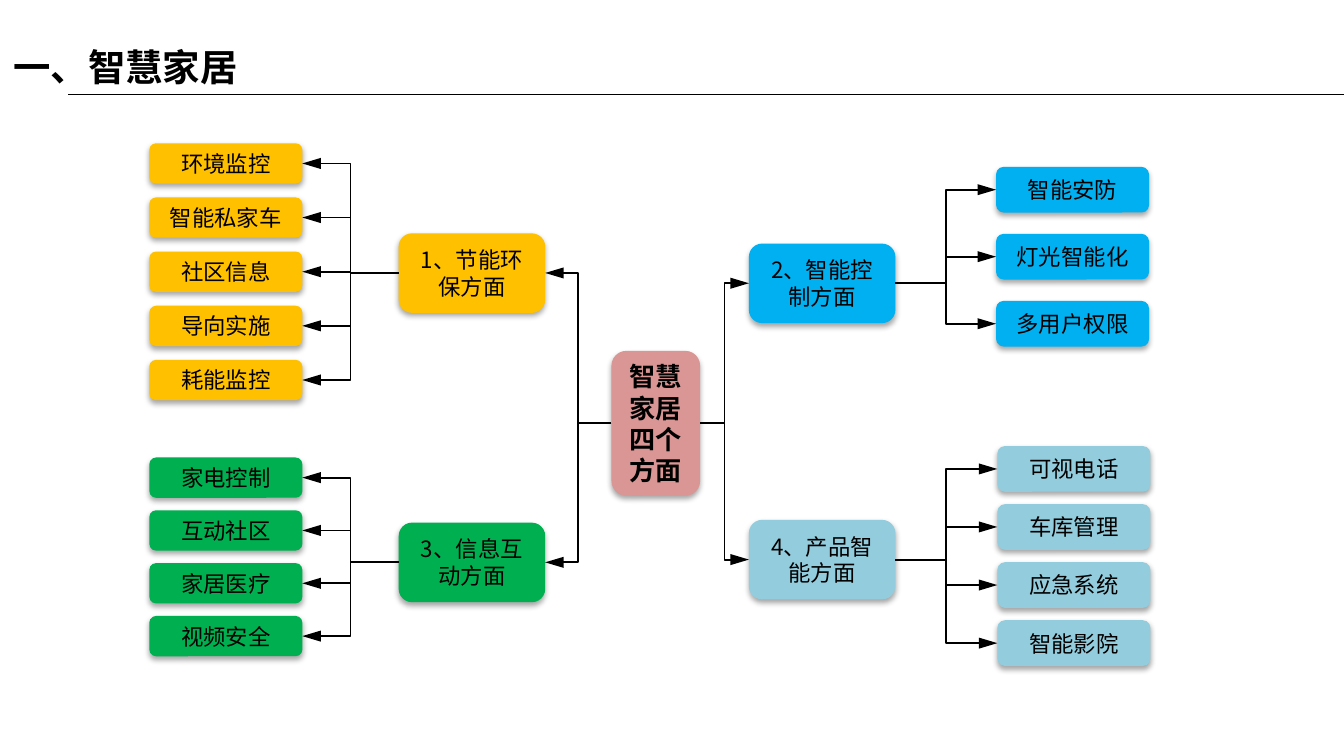
import pptx
import pptx.dml.color
import pptx.enum.shapes
import pptx.enum.text
import pptx.oxml
import pptx.oxml.ns
import pptx.util

Pt = pptx.util.Pt

TITLE = "一、智慧家居"
CENTER = {"lines": ["智慧家居", "四个方面"], "box": (327.6, 188, 47.5, 77.6)}
BRANCHES = [
    {"text": "2、智能控制方面", "side": "right", "color": "blue", "top": 130.5,
     "leaves": ["智能安防", "灯光智能化", "多用户权限"],
     "leaf_left": 533.6, "leaf_top": 89.4, "leaf_height": 24.5, "pitch": 35.9},
    {"text": "4、产品智能方面", "side": "right", "color": "aqua", "top": 278.5,
     "leaves": ["可视电话", "车库管理", "应急系统", "智能影院"],
     "leaf_left": 534.3, "leaf_top": 239, "leaf_height": 24.5, "pitch": 31.1},
    {"text": "1、节能环保方面", "side": "left", "color": "amber", "top": 125,
     "leaves": ["环境监控", "智能私家车", "社区信息", "导向实施", "耗能监控"],
     "leaf_left": 80, "leaf_top": 76.8, "leaf_height": 21.6, "pitch": 29},
    {"text": "3、信息互动方面", "side": "left", "color": "green", "top": 280,
     "leaves": ["家电控制", "互动社区", "家居医疗", "视频安全"],
     "leaf_left": 80, "leaf_top": 245.1, "leaf_height": 21.6, "pitch": 28.3},
]
BRANCH_LEFT = {"left": 213.6, "right": 401.2}
BRANCH_SIZE = (78.5, 42.6)
LEAF_WIDTH = 82
SITES = {"left": (1, 3), "right": (3, 1)}

THEME = {
    "font": "Noto Sans CJK SC",
    "black": "000000", "blue": "00B0F0", "aqua": "93CDDD",
    "amber": "FFC000", "green": "00B050", "rose": "D99694",
    "title_size": 20, "center_size": 14, "label_size": 12,
    "rule_width": 0.75, "connector_width": 1,
    "shadow_blur": 3.1, "shadow_distance": 1.8, "shadow_alpha": 35,
}


def rgb(name):
    return pptx.dml.color.RGBColor.from_string(THEME[name])


def add_element(parent, xml):
    tag, rest = xml.split(" ", 1) if " " in xml else (xml, "/>")
    namespace = pptx.oxml.ns.nsdecls("a")
    element = pptx.oxml.parse_xml(f"<a:{tag} {namespace} {rest}")
    parent.append(element)
    return element


def write_text(frame, lines, size, bold=False, align="CENTER", margin=7.2, spacing=None):
    frame.word_wrap = True
    frame.auto_size = pptx.enum.text.MSO_AUTO_SIZE.NONE
    frame.vertical_anchor = pptx.enum.text.MSO_ANCHOR.MIDDLE
    frame.margin_left = frame.margin_right = Pt(margin)
    frame.margin_top = frame.margin_bottom = Pt(3.6)
    for index, line in enumerate(lines):
        paragraph = frame.paragraphs[0] if index == 0 else frame.add_paragraph()
        paragraph.alignment = getattr(pptx.enum.text.PP_ALIGN, align)
        paragraph.line_spacing = spacing
        run = paragraph.add_run()
        run.text = line
        run.font.size = Pt(THEME[size])
        run.font.bold = bold
        run.font.color.rgb = rgb("black")
        run.font.name = THEME["font"]
        add_element(run.font._element, f'ea typeface="{THEME["font"]}"/>')


def add_box(slide, box, color, lines, size="label_size", **text_format):
    shape = slide.shapes.add_shape(
        pptx.enum.shapes.MSO_SHAPE.ROUNDED_RECTANGLE, *map(Pt, box))
    shape.fill.solid()
    shape.fill.fore_color.rgb = rgb(color)
    shape.line.fill.background()
    shape.shadow.inherit = False
    effects = shape._element.spPr.find(pptx.oxml.ns.qn("a:effectLst"))
    add_element(
        effects,
        f'outerShdw blurRad="{Pt(THEME["shadow_blur"])}" dist="{Pt(THEME["shadow_distance"])}"'
        f' dir="5400000" rotWithShape="0"><a:srgbClr val="{THEME["black"]}">'
        f'<a:alpha val="{THEME["shadow_alpha"] * 1000}"/></a:srgbClr></a:outerShdw>')
    write_text(shape.text_frame, lines, size, **text_format)
    return shape


def add_line(slide, kind, ends, width):
    connector = slide.shapes.add_connector(
        getattr(pptx.enum.shapes.MSO_CONNECTOR, kind), *map(Pt, ends))
    connector.line.color.rgb = rgb("black")
    connector.line.width = Pt(THEME[width])
    add_element(connector._element.spPr, "effectLst")
    return connector


def join(slide, start, end, side):
    connector = add_line(slide, "ELBOW", (0, 0, 0, 0), "connector_width")
    start_site, end_site = SITES[side]
    connector.begin_connect(start, start_site)
    connector.end_connect(end, end_site)
    add_element(connector.line._get_or_add_ln(), 'tailEnd type="triangle" w="med" len="lg"/>')


def add_title(slide):
    title = slide.shapes.title
    title.left, title.top, title.width, title.height = map(Pt, (0, 13.7, 648, 32.4))
    write_text(title.text_frame, [TITLE], "title_size", bold=True, align="LEFT", spacing=1.5)
    add_line(slide, "STRAIGHT", (36.7, 50.5, 720, 50.5), "rule_width")


def add_branch(slide, center, branch):
    side, color = branch["side"], branch["color"]
    hub = add_box(slide, (BRANCH_LEFT[side], branch["top"], *BRANCH_SIZE),
                  color, [branch["text"]])
    join(slide, center, hub, side)
    for index, text in enumerate(branch["leaves"]):
        top = branch["leaf_top"] + index * branch["pitch"]
        leaf = add_box(slide, (branch["leaf_left"], top, LEAF_WIDTH, branch["leaf_height"]),
                       color, [text])
        join(slide, hub, leaf, side)


def main():
    presentation = pptx.Presentation()
    presentation.slide_width, presentation.slide_height = Pt(720), Pt(405)
    slide = presentation.slides.add_slide(presentation.slide_layouts[5])
    add_title(slide)
    center = add_box(slide, CENTER["box"], "rose", CENTER["lines"],
                     size="center_size", bold=True, margin=4)
    for branch in BRANCHES:
        add_branch(slide, center, branch)
    presentation.save("out.pptx")


if __name__ == "__main__":
    main()
